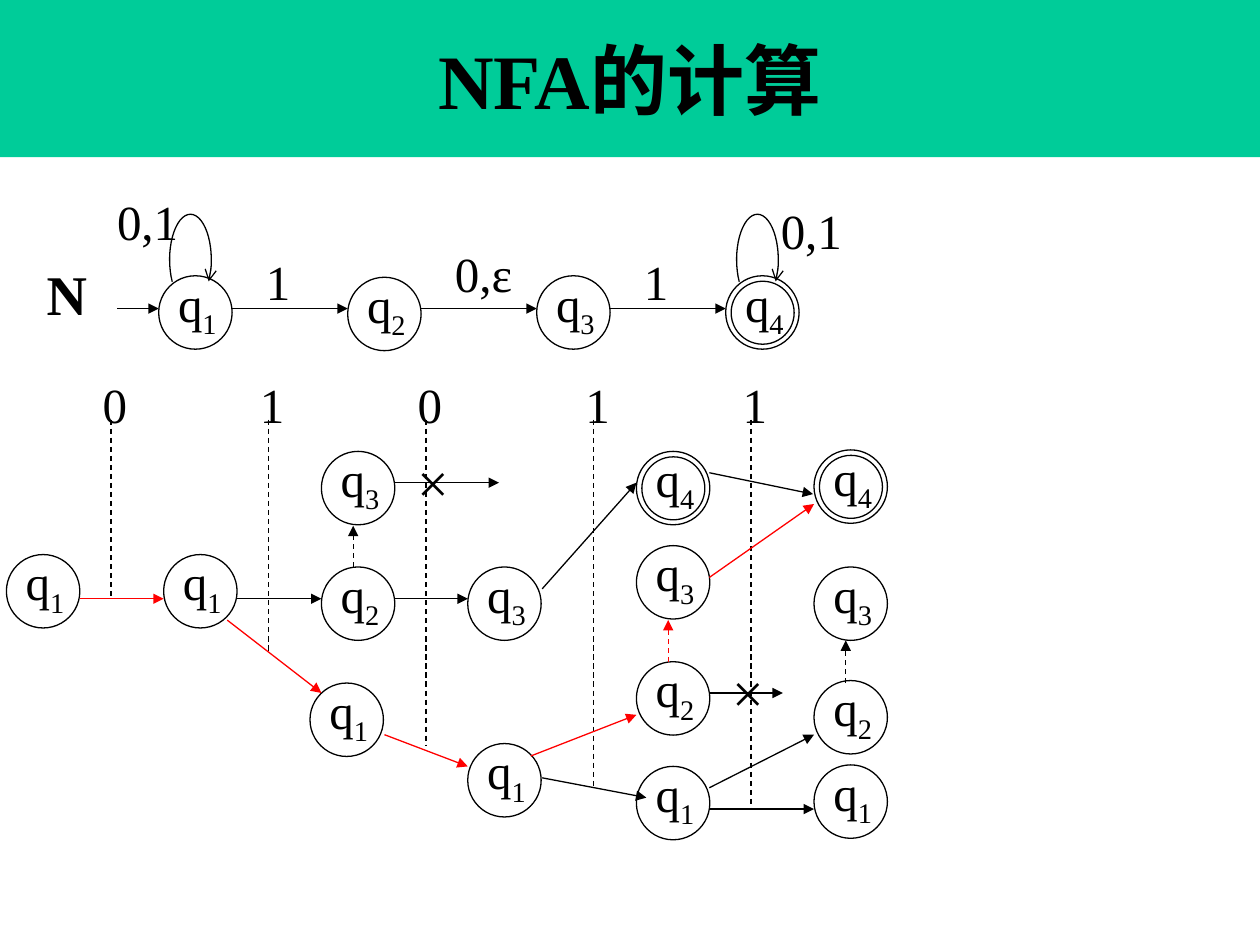
import dataclasses

import pptx
import pptx.dml.color
import pptx.enum.dml
import pptx.enum.shapes
import pptx.enum.text
import pptx.oxml.ns
import pptx.util
from lxml import etree

Cm = pptx.util.Cm
Pt = pptx.util.Pt


@dataclasses.dataclass(frozen=True)
class Theme:
    font: str = "Times New Roman"
    ink: str = "000000"
    path_taken: str = "FF0000"
    banner: str = "00CC99"
    title_size: int = 44
    mark_size: int = 32
    label_size: int = 28
    line_width: float = 0.75


@dataclasses.dataclass(frozen=True)
class Box:
    left: float
    top: float
    width: float = 0
    height: float = 0


THEME = Theme()
STATE_SIZE = 1.48
ACCEPT_SIZE = 1.27
ACCEPT_INSET = 0.11
TEXT_HEIGHT = 1.45
MARK_HEIGHT = 1.6
DIGIT_WIDTH = 1.02


def color(value):
    return pptx.dml.color.RGBColor.from_string(value)


def add_run(paragraph, text, size, bold=False, subscript=False):
    run = paragraph.add_run()
    run.text = text
    run.font.name = THEME.font
    run.font.size = Pt(size)
    run.font.bold = bold
    run.font.color.rgb = color(THEME.ink)
    if subscript:
        run._r.get_or_add_rPr().set("baseline", "-25000")


def add_label(group, box, text, subscript="", size=THEME.label_size, bold=False):
    label = group.shapes.add_textbox(Cm(box.left), Cm(box.top), Cm(box.width), Cm(box.height))
    frame = label.text_frame
    frame.word_wrap = False
    frame.auto_size = pptx.enum.text.MSO_AUTO_SIZE.SHAPE_TO_FIT_TEXT
    add_run(frame.paragraphs[0], text, size, bold)
    if subscript:
        add_run(frame.paragraphs[0], subscript, size, bold, subscript=True)


def add_outline(group, preset, box):
    outline = group.shapes.add_shape(
        preset, Cm(box.left), Cm(box.top), Cm(box.width), Cm(box.height))
    outline.shadow.inherit = False
    outline.fill.background()
    outline.line.color.rgb = color(THEME.ink)
    outline.line.width = Pt(THEME.line_width)
    return outline


def add_arrowhead(line, style):
    etree.SubElement(line._get_or_add_ln(), pptx.oxml.ns.qn("a:tailEnd"), type=style)


def add_line(group, origin, ends, ink=THEME.ink, dashed=False, arrow=True):
    x1, y1, x2, y2 = ends
    edge = group.shapes.add_connector(
        pptx.enum.shapes.MSO_CONNECTOR.STRAIGHT,
        Cm(origin.left + x1), Cm(origin.top + y1), Cm(origin.left + x2), Cm(origin.top + y2))
    edge.line.color.rgb = color(ink)
    edge.line.width = Pt(THEME.line_width)
    if dashed:
        edge.line.dash_style = pptx.enum.dml.MSO_LINE.DASH
    if arrow:
        add_arrowhead(edge.line, "triangle")
    etree.SubElement(edge._element.spPr, pptx.oxml.ns.qn("a:effectLst"))


def add_state(group, left, top, number):
    oval = pptx.enum.shapes.MSO_SHAPE.OVAL
    add_outline(group, oval, Box(left, top, STATE_SIZE, STATE_SIZE))
    add_label(group, Box(left + 0.14, top - 0.18, 1.35, TEXT_HEIGHT), "q", str(number))
    if number == 4:
        add_outline(group, oval, Box(
            left + ACCEPT_INSET, top + ACCEPT_INSET, ACCEPT_SIZE, ACCEPT_SIZE))


def add_loop(group, left, top):
    loop = add_outline(group, pptx.enum.shapes.MSO_SHAPE.ARC, Box(left, top, 0.84, 1.83))
    for index, degrees in enumerate((129.5, 50)):
        loop.adjustments[index] = degrees * 0.6
    add_arrowhead(loop.line, "arrow")


def build_title(slide, box):
    title = slide.shapes.title
    title.left, title.top = Cm(box.left), Cm(box.top)
    title.width, title.height = Cm(box.width), Cm(box.height)
    title.fill.solid()
    title.fill.fore_color.rgb = color(THEME.banner)
    frame = title.text_frame
    frame.vertical_anchor = pptx.enum.text.MSO_ANCHOR.MIDDLE
    frame.paragraphs[0].alignment = pptx.enum.text.PP_ALIGN.CENTER
    add_run(frame.paragraphs[0], "NFA的计算", THEME.title_size, bold=True)


def build_computation(slide, box):
    group = slide.shapes.add_group_shape()
    inputs = [("0", 2.11, 4.65), ("1", 5.28, 5.72), ("0", 8.46, 7.62),
              ("1", 11.84, 8.46), ("1", 15.01, 8.89)]
    for symbol, x, bottom in inputs:
        add_line(group, box, (x, 1.04, x, bottom), dashed=True, arrow=False)
        add_label(group, Box(box.left + x - 0.42, box.top, DIGIT_WIDTH, TEXT_HEIGHT), symbol)

    states = [(1, 0, 3.76), (1, 3.17, 3.76),
              (3, 6.35, 1.68), (2, 6.35, 4.01), (1, 6.12, 6.35),
              (3, 9.3, 4.01), (1, 9.3, 7.57),
              (4, 12.7, 1.68), (3, 12.7, 3.58), (2, 12.7, 5.92), (1, 12.7, 8.03),
              (4, 16.28, 1.65), (3, 16.28, 4.01), (2, 16.28, 6.3), (1, 16.28, 8)]
    for number, x, y in states:
        add_state(group, box.left + x, box.top + y, number)

    moves = [(4.65, 4.65, 6.35, 4.65), (7.82, 2.31, 9.93, 2.31),
             (7.82, 4.65, 9.3, 4.65), (10.8, 8.26, 12.9, 8.66),
             (10.8, 4.45, 12.7, 2.31), (14.17, 6.55, 15.65, 6.55),
             (14.17, 8.89, 16.28, 8.89), (14.17, 8.46, 16.28, 7.39),
             (14.17, 2.11, 16.26, 2.54)]
    accepting_moves = [(1.48, 4.65, 3.17, 4.65), (4.45, 5.08, 6.35, 6.55),
                       (7.62, 7.39, 9.3, 8.03), (10.57, 7.82, 12.7, 6.99),
                       (14.17, 4.22, 16.28, 2.74)]
    epsilon_moves = [(6.99, 4.01, 6.99, 3.18), (16.92, 6.35, 16.92, 5.49)]
    accepting_epsilon_moves = [(13.34, 5.92, 13.34, 5.08)]
    for ends_list, ink, dashed in (
            (moves, THEME.ink, False), (accepting_moves, THEME.path_taken, False),
            (epsilon_moves, THEME.ink, True),
            (accepting_epsilon_moves, THEME.path_taken, True)):
        for ends in ends_list:
            add_line(group, box, ends, ink, dashed)

    for x, y in ((8.03, 1.47), (14.38, 5.72)):
        add_label(group, Box(box.left + x, box.top + y, 1.65, MARK_HEIGHT), "×",
                  size=THEME.mark_size)


def build_automaton(slide, box):
    group = slide.shapes.add_group_shape()
    first, pitch, state_top, arrow_y = 2.51, 3.81, 1.83, 2.49
    add_line(group, box, (1.67, arrow_y, first, arrow_y))
    for index in range(4):
        x = first + index * pitch
        drop = 0.03 if index == 1 else 0
        add_state(group, box.left + x, box.top + state_top + drop, index + 1)
        if index < 3:
            add_line(group, box, (x + STATE_SIZE, arrow_y, x + pitch, arrow_y))
        if index in (0, 3):
            add_loop(group, box.left + x + 0.22, box.top + 0.59)

    labels = [("0,1", 1.42, 0, 1.75), ("1", 4.42, 1.22, DIGIT_WIDTH),
              ("0,ε", 8.23, 1.05, 1.68), ("1", 12.04, 1.22, DIGIT_WIDTH),
              ("0,1", 14.8, 0.18, 1.75)]
    for text, x, y, width in labels:
        add_label(group, Box(box.left + x, box.top + y, width, TEXT_HEIGHT), text)
    add_label(slide, Box(box.left, box.top + 1.38, 1.32, MARK_HEIGHT), "N",
              size=THEME.mark_size, bold=True)


def main():
    deck = pptx.Presentation()
    deck.slide_width, deck.slide_height = Cm(25.4), Cm(19.05)
    slide = deck.slides.add_slide(deck.slide_layouts[5])
    build_title(slide, Box(0, 0, 25.4, 3.17))
    build_computation(slide, Box(0.13, 7.42))
    build_automaton(slide, Box(0.69, 3.73))
    deck.save("out.pptx")


if __name__ == "__main__":
    main()
